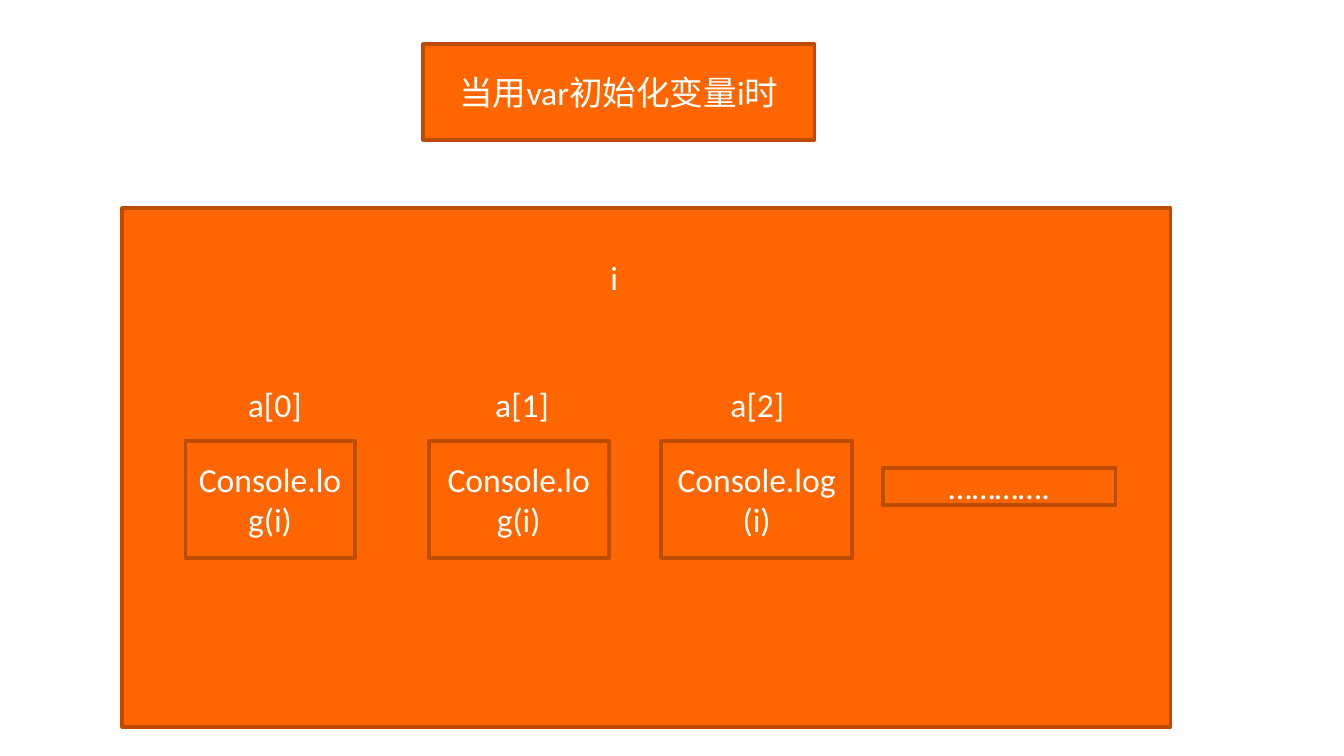
from pptx import Presentation, util as u
from pptx.dml.color import RGBColor
from pptx.enum import shapes, text

WIDE = 10
HIGH = WIDE * 9 / 16
HUES = {"fill": "FF6600", "edge": "BD4B00", "text": "FFFFFF"}
FONT, SIZE = "Calibri", 18

TITLE = ("当用var初始化变量i时", (3.15, 0.33, 2.91, 0.71))
SCOPE = ("", (0.91, 1.55, 7.8, 3.86))
SHARED = ("i", (3.98, 1.79, 1.18, 0.55))
REST = ("………….", (6.57, 3.48, 1.73, 0.28))

# label, label left, box left, box width
CALLS = [
    ("a[0]", 1.61, 1.38, 1.26),
    ("a[1]", 3.45, 3.19, 1.34),
    ("a[2]", 5.2, 4.92, 1.42),
]
CODE = "Console.log(i)"
TAG_TOP, TAG_W, TAG_H = 2.81, 0.87, 0.39
BOX_TOP, BOX_H = 3.28, 0.87


def hue(name):
    return RGBColor.from_string(HUES[name])


def draw(slide, kind, words, place, edge):
    item = slide.shapes.add_shape(kind, *map(u.Inches, place))
    item.shadow.inherit = False
    item.fill.solid()
    item.fill.fore_color.rgb = hue("fill")
    item.line.color.rgb = hue(edge)
    item.line.width = u.Pt(2)
    if not words:
        return item
    frame = item.text_frame
    frame.word_wrap = True
    frame.vertical_anchor = text.MSO_ANCHOR.MIDDLE
    frame.text = words
    para = frame.paragraphs[0]
    para.alignment = text.PP_ALIGN.CENTER
    font = para.runs[0].font
    font.name, font.size = FONT, u.Pt(SIZE)
    font.color.rgb = hue("text")
    return item


def box(slide, words, place):
    return draw(slide, shapes.MSO_SHAPE.RECTANGLE, words, place, "edge")


def tag(slide, words, place):
    """Draw an oval label that blends into the scope."""
    item = draw(slide, shapes.MSO_SHAPE.OVAL, words, place, "fill")
    item.text_frame.margin_left = item.text_frame.margin_right = 0


def main():
    deck = Presentation()
    deck.slide_width, deck.slide_height = u.Inches(WIDE), u.Inches(HIGH)
    slide = deck.slides.add_slide(deck.slide_layouts[6])

    box(slide, *TITLE)
    box(slide, *SCOPE)
    tag(slide, *SHARED)
    for _, _, left, width in CALLS:
        box(slide, CODE, (left, BOX_TOP, width, BOX_H))
    for name, left, _, _ in CALLS:
        tag(slide, name, (left, TAG_TOP, TAG_W, TAG_H))
    box(slide, *REST)
    deck.save("out.pptx")


if __name__ == "__main__":
    main()
